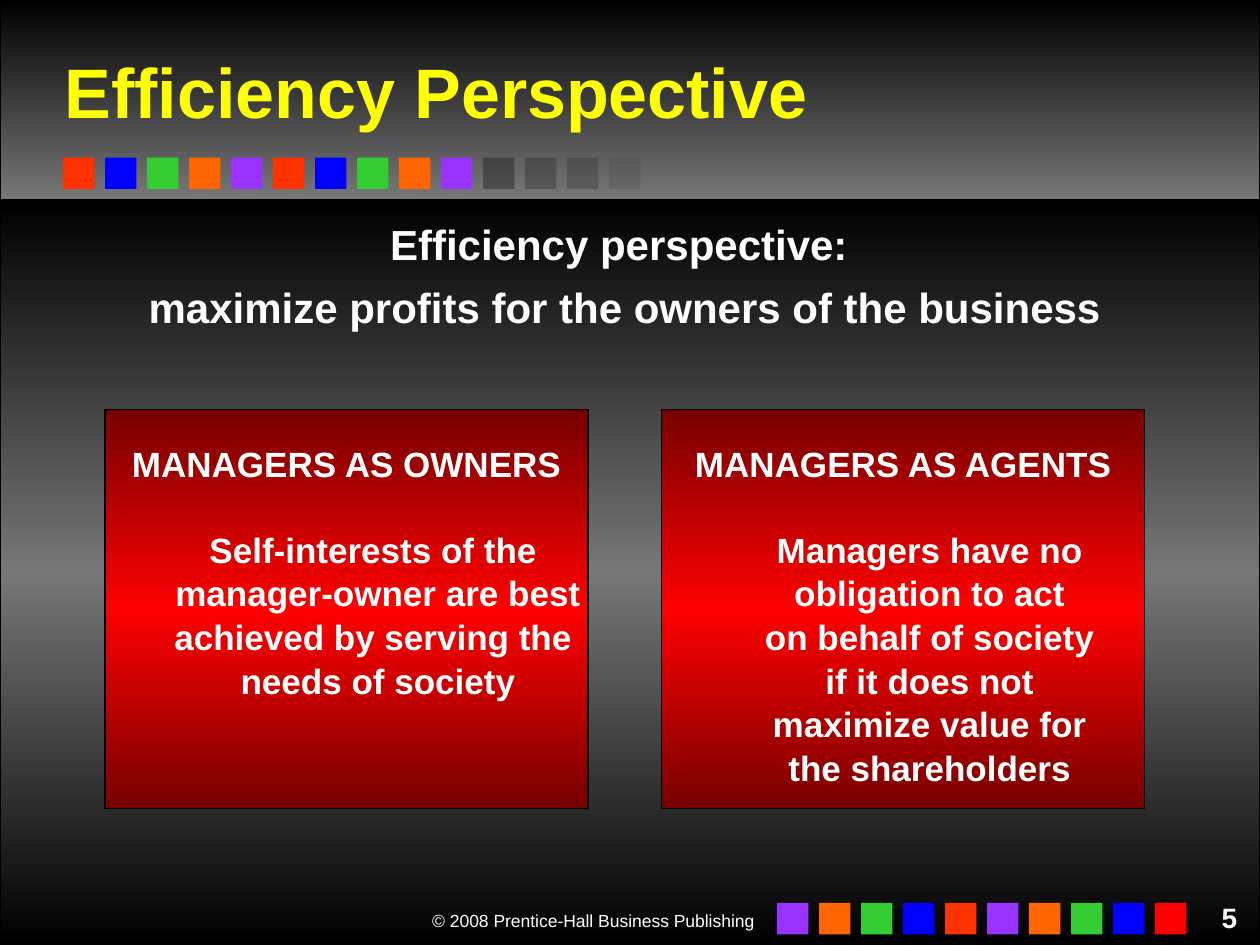
"""Build the Efficiency Perspective slide."""
from lxml.etree import SubElement
from pptx import Presentation
from pptx.dml.color import RGBColor as RGB
from pptx.enum.shapes import MSO_SHAPE as SHAPE
from pptx.enum.text import MSO_ANCHOR as ANCHOR, PP_ALIGN as ALIGN
from pptx.oxml.ns import qn
from pptx.util import Inches, Pt

COLORS = {
    "black": "000000", "gray": "777777", "charcoal": "292929", "white": "FFFFFF",
    "yellow": "FFFF00", "vermilion": "FF3300", "blue": "0000FF", "green": "33CC33",
    "orange": "FF6600", "purple": "9933FF", "red": "FF0000", "maroon": "760000",
}

prs = Presentation()
prs.slide_width, prs.slide_height = Inches(10), Inches(7.5)
U = prs.slide_width // 120
s = prs.slides.add_slide(prs.slide_layouts[6])


def add_block(x, y, w, h, fill, alpha=None):
    sp = s.shapes.add_shape(SHAPE.RECTANGLE, x * U, y * U, w * U, h * U)
    if isinstance(fill, list):
        grad = SubElement(sp.element.spPr, qn("a:gradFill"), rotWithShape="1")
        stops = SubElement(grad, qn("a:gsLst"))
        for i, name in enumerate(fill):
            stop = SubElement(stops, qn("a:gs"), pos=str(100000 * i // (len(fill) - 1)))
            SubElement(stop, qn("a:srgbClr"), val=COLORS[name])
        SubElement(grad, qn("a:lin"), ang="5400000", scaled="0")
        sp.line.color.rgb = RGB.from_string(COLORS["black"])
        sp.line.width = Pt(0.75)
    else:
        sp.fill.solid()
        sp.fill.fore_color.rgb = RGB.from_string(COLORS[fill])
        sp.line.fill.background()
    if alpha:
        color = sp.element.spPr.find(qn("a:solidFill"))[0]
        SubElement(color, qn("a:alpha"), val=str(alpha * 1000))
    sp.shadow.inherit = False
    return sp


def add_text(tf, text, size, color="white", bold=True, align=ALIGN.CENTER,
             before=0, indent=0, spacing=1.04, shadow=False, first=True):
    p = tf.paragraphs[0] if first else tf.add_paragraph()
    p.alignment, p.space_before, p.line_spacing = align, Pt(before), spacing
    if indent:
        p.level = 1
        pPr = p._p.get_or_add_pPr()
        pPr.set("marL", str(indent * U))
        pPr.set("indent", "0")
    r = p.add_run()
    r.text = text
    r.font.size, r.font.bold = Pt(size), bold
    r.font.color.rgb = RGB.from_string(COLORS[color])
    if shadow:
        effects = SubElement(r._r.get_or_add_rPr(), qn("a:effectLst"))
        outer = SubElement(effects, qn("a:outerShdw"), dist="25400", dir="2700000")
        SubElement(outer, qn("a:srgbClr"), val=COLORS["black"])
    r.font.name = "Arial"


add_block(0, 0, 120, 19, ["black", "gray"])
add_block(0, 19, 120, 71, ["black", "gray", "black"])

rainbow = ["vermilion", "blue", "green", "orange", "purple"]
top_row = [(name, None) for name in rainbow * 2]
top_row += [("charcoal", alpha) for alpha in (50, 35, 30, 15)]
bottom_row = [(name, None) for name in (rainbow[::-1] * 2)[:-1] + ["red"]]
for left, top, row in [(6, 15, top_row), (74, 86, bottom_row)]:
    for col, (name, alpha) in enumerate(row):
        add_block(left + 4 * col, top, 3, 3, name, alpha)

heading = dict(size=24, shadow=True)
labels = [
    ((35, 86, 38, 3), ANCHOR.TOP, ["© 2008 Prentice-Hall Business Publishing"],
     dict(size=10, bold=False, align=ALIGN.RIGHT)),
    ((113, 85, 6, 2), ANCHOR.TOP, ["5"], dict(size=16, align=ALIGN.RIGHT)),
    ((5, 3, 109, 11), ANCHOR.MIDDLE, ["Efficiency Perspective"],
     dict(size=40, color="yellow", align=ALIGN.LEFT, shadow=True)),
    ((5, 20, 109, 15), ANCHOR.TOP,
     ["Efficiency perspective: ", "maximize profits for the owners of the business"],
     heading),
]
for box, anchor, lines, style in labels:
    tf = s.shapes.add_textbox(*[n * U for n in box]).text_frame
    tf.word_wrap, tf.vertical_anchor = True, anchor
    for i, line in enumerate(lines):
        add_text(tf, line, before=6 if i else 0, first=i == 0, **style)

cards = [
    ("MANAGERS AS OWNERS",
     ["Self-interests of the ", "manager-owner are best", "achieved by serving the ",
      "needs of society"]),
    ("MANAGERS AS AGENTS",
     ["Managers have no ", "obligation to act ", "on behalf of society ",
      "if it does not ", "maximize value for ", "the shareholders "]),
]
for col, (title, lines) in enumerate(cards):
    tf = add_block(10 + 53 * col, 39, 46, 38, ["maroon", "red", "maroon"]).text_frame
    tf.word_wrap, tf.vertical_anchor, tf.margin_top = False, ANCHOR.TOP, 3 * U
    add_text(tf, title, 20)
    for i, line in enumerate(lines):
        add_text(tf, line, 20, before=0 if i else 24, indent=6, first=False)

prs.save("out.pptx")
